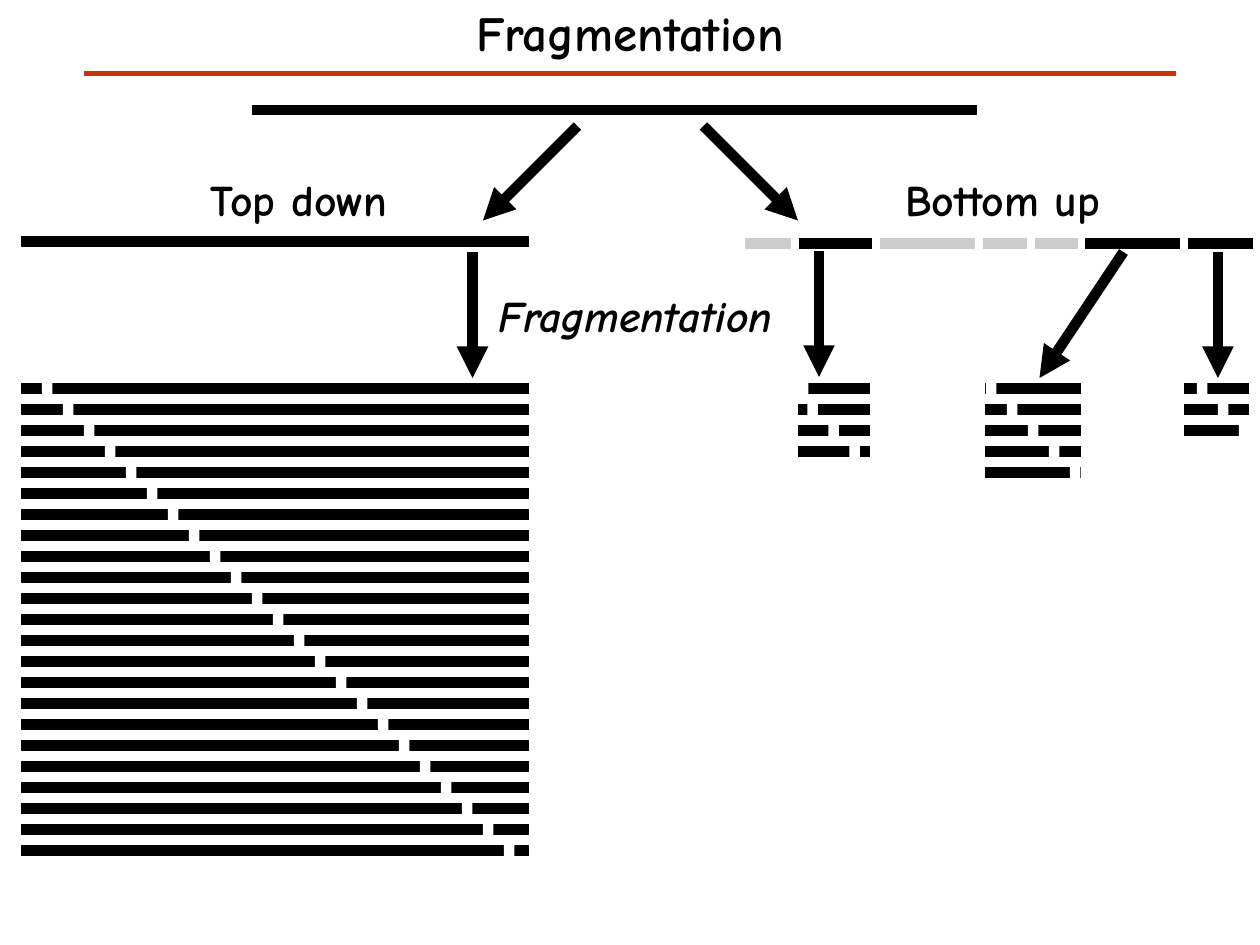
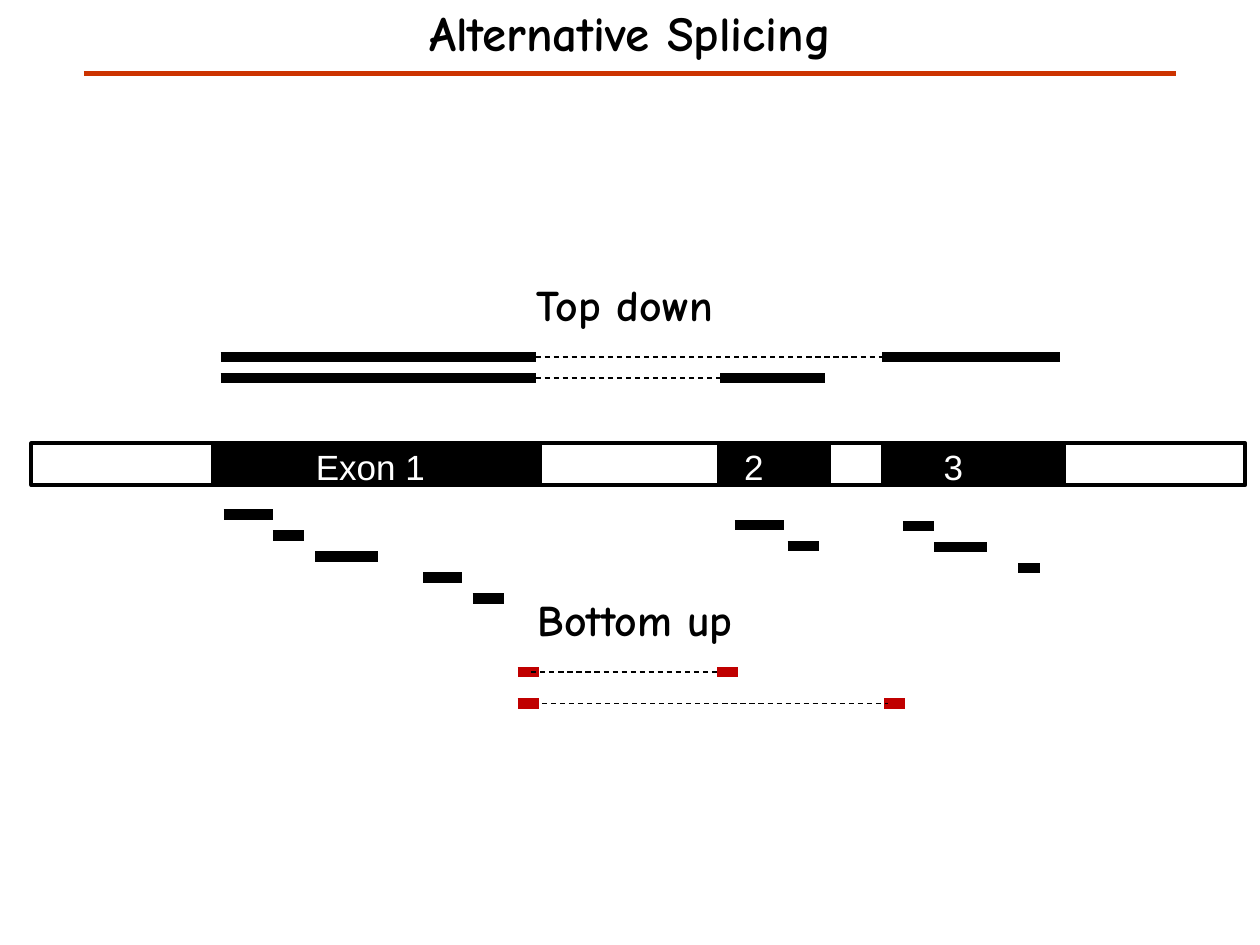
from itertools import pairwise

from lxml.etree import SubElement
from pptx import Presentation
from pptx.dml.color import RGBColor
from pptx.enum.dml import MSO_LINE_DASH_STYLE as Dash
from pptx.enum.shapes import MSO_CONNECTOR as Connector, MSO_SHAPE as Shape
from pptx.enum.text import MSO_ANCHOR as Anchor, PP_ALIGN as Align
from pptx.oxml.ns import qn
from pptx.util import Emu, Pt

PX = 7620  # EMU per px: 120 px to the inch
COLORS = {
    "ink": "000000",
    "paper": "FFFFFF",
    "rule": "CC3300",
    "junction": "C00000",
}
HEADING = {"size": Pt(28), "name": "Comic Neue", "bold": True}
LABEL = {"size": Pt(25), "name": "Comic Neue", "bold": True}
EXON_LABEL = {"size": Pt(20), "name": "Arial"}

BAR_WEIGHT = 6
ROW_STEP = 20
GAP_WIDTH = 10


def px(value):
    return Emu(value * PX)


def color(name):
    return RGBColor.from_string(COLORS[name])


# Element kinds
def add_text(slide, text, box, formats, ink="ink", align=Align.CENTER, anchor=Anchor.MIDDLE):
    frame = slide.shapes.add_textbox(*map(px, box)).text_frame
    frame.word_wrap = True
    frame.vertical_anchor = anchor
    paragraph = frame.paragraphs[0]
    paragraph.alignment = align
    run = paragraph.add_run()
    run.text = text
    for attribute, value in formats.items():
        setattr(run.font, attribute, value)
    run.font.color.rgb = color(ink)


def add_line(slide, start, end, ink="ink", weight=BAR_WEIGHT, dash=None, arrow=False):
    connector = slide.shapes.add_connector(Connector.STRAIGHT, *map(px, (*start, *end)))
    connector.line.color.rgb = color(ink)
    connector.line.width = Pt(weight)
    if dash:
        connector.line.dash_style = dash
    properties = connector.element.spPr
    if arrow:
        SubElement(properties.find(qn("a:ln")), qn("a:tailEnd"), type="triangle")
    SubElement(properties, qn("a:effectLst"))


def add_bar(slide, left, right, y, ink="ink"):
    add_line(slide, (left, y), (right, y), ink)


def add_dashes(slide, left, right, y):
    add_line(slide, (left, y), (right, y), weight=0.75, dash=Dash.DASH)


def add_box(slide, box, fill, border=None, weight=2, opacity=100):
    shape = slide.shapes.add_shape(Shape.RECTANGLE, *map(px, box))
    shape.shadow.inherit = False
    shape.fill.solid()
    shape.fill.fore_color.rgb = color(fill)
    if opacity < 100:
        rgb = shape.element.spPr.find(qn("a:solidFill"))[0]
        SubElement(rgb, qn("a:alpha"), val=str(opacity * 1000))
    if border:
        shape.line.color.rgb = color(border)
        shape.line.width = Pt(weight)
    else:
        shape.line.fill.background()


def add_ladder(slide, left, right, gaps, top=370):
    """One bar per row, each broken at its own cleavage site."""
    for row, gap in enumerate(gaps):
        y = top + row * ROW_STEP
        add_bar(slide, left, right, y)
        add_box(slide, (gap, y - ROW_STEP // 2, GAP_WIDTH, ROW_STEP), "paper")


def add_titled_slide(presentation, title):
    slide = presentation.slides.add_slide(presentation.slide_layouts[6])
    add_text(slide, title, (60, 0, 1080, 60), HEADING)
    add_line(slide, (80, 70), (1120, 70), "rule", 2.5)
    return slide


# Slides
def build_fragmentation(presentation):
    slide = add_titled_slide(presentation, "Fragmentation")

    # Whole protein, then the top-down copy
    add_bar(slide, 240, 930, 105)
    add_bar(slide, 20, 504, 230)
    add_text(slide, "Top down", (110, 160, 350, 60), LABEL)
    add_text(slide, "Bottom up", (810, 160, 290, 60), LABEL)

    # Digested protein: cuts, with the unselected peptides veiled
    add_bar(slide, 710, 1193, 232)
    for cut in (757, 834, 932, 982, 1030, 1128):
        add_line(slide, (cut, 223), (cut, 241), "paper", 4.5)
    for veil in ((834, 223, 196, 46), (680, 220, 77, 46)):
        add_box(slide, veil, "paper", "paper", opacity=80)

    add_text(slide, "Fragmentation", (430, 270, 350, 60), LABEL | {"italic": True})

    # Fragment ladders
    add_ladder(slide, 20, 504, range(40, 500, ROW_STEP))
    add_ladder(slide, 760, 829, (760, 769, 789, 809))
    add_ladder(slide, 938, 1030, range(939, 1020, ROW_STEP))
    add_ladder(slide, 1128, 1190, range(1140, 1190, ROW_STEP))

    # Arrows
    arrows = (
        ((550, 120), (460, 210)),
        ((670, 120), (760, 210)),
        ((450, 240), (450, 360)),
        ((780, 239), (780, 359)),
        ((1070, 240), (990, 360)),
        ((1160, 240), (1160, 360)),
    )
    for start, end in arrows:
        add_line(slide, start, end, arrow=True)


def build_splicing(presentation):
    slide = add_titled_slide(presentation, "Alternative Splicing")
    add_text(slide, "Top down", (450, 260, 290, 60), LABEL)
    add_text(slide, "Bottom up", (460, 560, 290, 60), LABEL)

    # Gene: introns and exons take turns
    edges = (30, 203, 514, 685, 790, 841, 1013, 1186)
    for index, (left, right) in enumerate(pairwise(edges)):
        fill = "ink" if index % 2 else "paper"
        add_box(slide, (left, 422, right - left, 40), fill, "ink", 2.25)
    for text, left, width in (("Exon 1", 289, 221), ("2", 697, 74), ("3", 887, 74)):
        add_text(slide, text, (left, 418, width, 52), EXON_LABEL, "paper", Align.LEFT, Anchor.TOP)

    # Peptides found below each exon, as (left, right) in descending rows
    peptides = {
        490: ((213, 260), (260, 290), (300, 360), (403, 440), (450, 480)),
        500: ((700, 747), (750, 780)),
        501: ((860, 890), (890, 940), (970, 990)),
    }
    for top, spans in peptides.items():
        for row, (left, right) in enumerate(spans):
            add_bar(slide, left, right, top + row * ROW_STEP)

    # Two splice forms
    for y, left, right in ((340, 840, 1010), (360, 686, 786)):
        add_bar(slide, 210, 510, y)
        add_bar(slide, left, right, y)
        add_dashes(slide, 510, left, y)

    # Peptides that span a junction
    for y, left, dash_start, dash_end in ((640, 683, 506, 686), (670, 842, 516, 846)):
        for start in (493, left):
            add_bar(slide, start, start + 20, y, "junction")
        add_dashes(slide, dash_start, dash_end, y)


def main():
    presentation = Presentation()
    presentation.slide_width = px(1200)
    presentation.slide_height = px(900)
    build_fragmentation(presentation)
    build_splicing(presentation)
    presentation.save("out.pptx")


if __name__ == "__main__":
    main()
